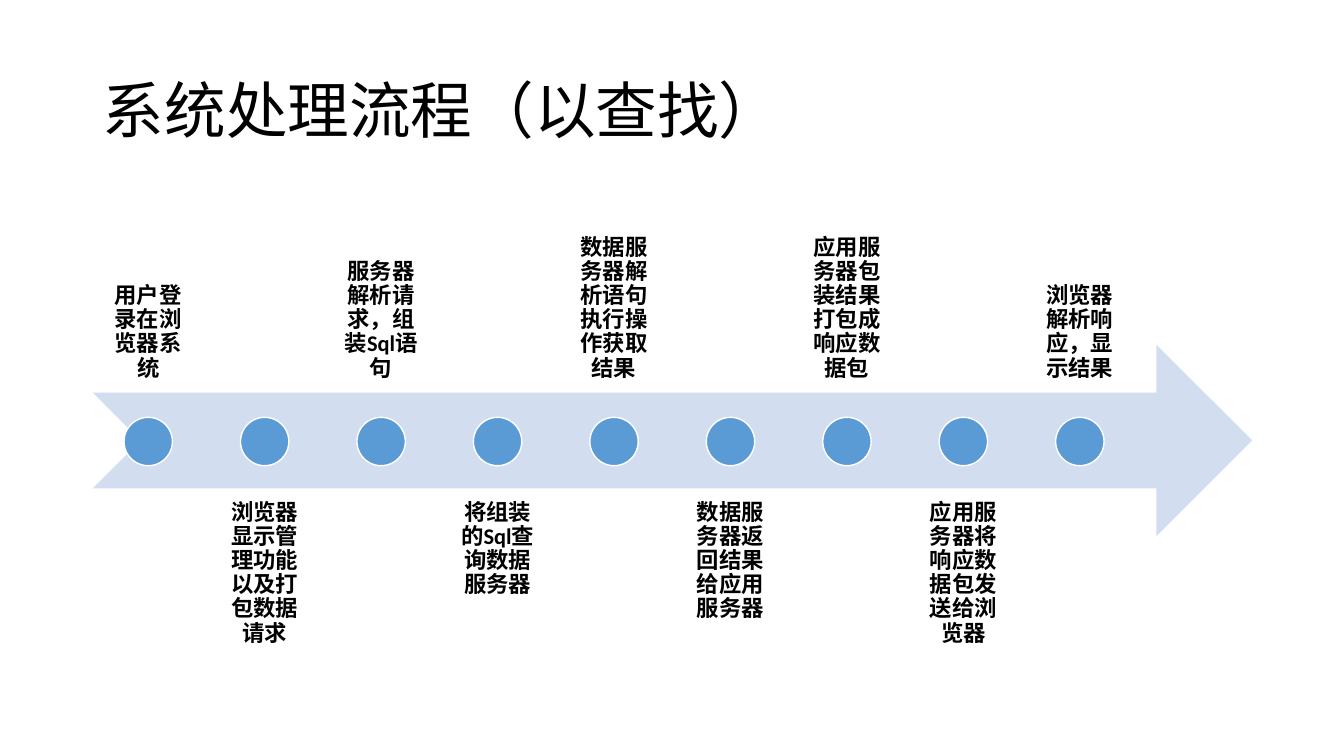
from dataclasses import dataclass

from pptx import Presentation
from pptx.dml.color import RGBColor
from pptx.enum.lang import MSO_LANGUAGE_ID
from pptx.enum.shapes import MSO_SHAPE
from pptx.enum.text import MSO_ANCHOR, MSO_AUTO_SIZE, PP_ALIGN
from pptx.shapes.autoshape import Shape
from pptx.shapes.shapetree import GroupShapes
from pptx.util import Inches, Pt

BLACK = RGBColor(0x00, 0x00, 0x00)
WHITE = RGBColor(0xFF, 0xFF, 0xFF)
BLUE = RGBColor(0x5B, 0x9B, 0xD5)
PALE = RGBColor(0xD2, 0xDE, 0xEF)

LEFT, WIDTH = 0.92, 11.5
ARROW_TOP, BAND = 3.42, 1.9
TOP_ROW, LOW_ROW = 2, 4.85
LABEL_W, DOT = 1.1, 0.48
DOT_TOP = 4.14
LAST_LEFT = 10.16

TITLE = "系统处理流程（以查找）"
STEPS = [
    "用户登录在浏览器系统",
    "浏览器显示管理功能以及打包数据请求",
    "服务器解析请求，组装Sql语句",
    "将组装的Sql查询数据服务器",
    "数据服务器解析语句执行操作获取结果",
    "数据服务器返回结果给应用服务器",
    "应用服务器包装结果打包成响应数据包",
    "应用服务器将响应数据包发送给浏览器",
    "浏览器解析响应，显示结果",
]
PITCH = (LAST_LEFT - LEFT) / (len(STEPS) - 1)

FONT = {"name": "Calibri", "language_id": MSO_LANGUAGE_ID.SIMPLIFIED_CHINESE}
TITLE_FONT = FONT | {"size": Pt(44), "bold": False}
LABEL_FONT = FONT | {"size": Pt(16), "bold": True}
FRAME = {"word_wrap": True, "auto_size": MSO_AUTO_SIZE.NONE}
MARGINS = {f"margin_{side}": Inches(0.12)
           for side in ("left", "top", "right", "bottom")}


@dataclass
class Step:
    text: str
    left: float
    above: bool


def apply(target: object, values: dict) -> None:
    for name, value in values.items():
        setattr(target, name, value)


def write(shape: Shape, text: str, font: dict, frame: dict, align: PP_ALIGN) -> None:
    box = shape.text_frame
    apply(box, FRAME | frame)
    line = box.paragraphs[0]
    apply(line, {"alignment": align, "line_spacing": 0.9})
    run = line.add_run()
    run.text = text
    apply(run.font, font)
    run.font.color.rgb = BLACK


def add_solid(shapes: GroupShapes, kind: MSO_SHAPE, area: tuple, color: RGBColor) -> Shape:
    shape = shapes.add_shape(kind, *map(Inches, area))
    shape.shadow.inherit = False
    shape.fill.solid()
    shape.fill.fore_color.rgb = color
    shape.line.fill.background()
    return shape


def add_step(shapes: GroupShapes, step: Step) -> None:
    top = TOP_ROW if step.above else LOW_ROW
    label = shapes.add_textbox(*map(Inches, (step.left, top, LABEL_W, BAND)))
    anchor = MSO_ANCHOR.BOTTOM if step.above else MSO_ANCHOR.TOP
    write(label, step.text, LABEL_FONT,
          MARGINS | {"vertical_anchor": anchor}, PP_ALIGN.CENTER)
    dot_left = step.left + (LABEL_W - DOT) / 2
    dot = add_solid(shapes, MSO_SHAPE.OVAL, (dot_left, DOT_TOP, DOT, DOT), BLUE)
    dot.line.color.rgb = WHITE
    dot.line.width = Pt(1)


def main() -> None:
    deck = Presentation()
    apply(deck, {"slide_width": Inches(13.33), "slide_height": Inches(7.5)})
    slide = deck.slides.add_slide(deck.slide_layouts.get_by_name("Title Only"))

    title = slide.shapes.title
    apply(title, {"left": Inches(LEFT), "top": Inches(0.4),
                  "width": Inches(WIDTH), "height": Inches(1.45)})
    write(title, TITLE, TITLE_FONT,
          {"vertical_anchor": MSO_ANCHOR.MIDDLE}, PP_ALIGN.LEFT)

    flow = slide.shapes.add_group_shape().shapes
    add_solid(flow, MSO_SHAPE.NOTCHED_RIGHT_ARROW,
              (LEFT, ARROW_TOP, WIDTH, BAND), PALE)
    for i, text in enumerate(STEPS):
        add_step(flow, Step(text, LEFT + i * PITCH, i % 2 == 0))

    deck.save("out.pptx")


if __name__ == "__main__":
    main()
